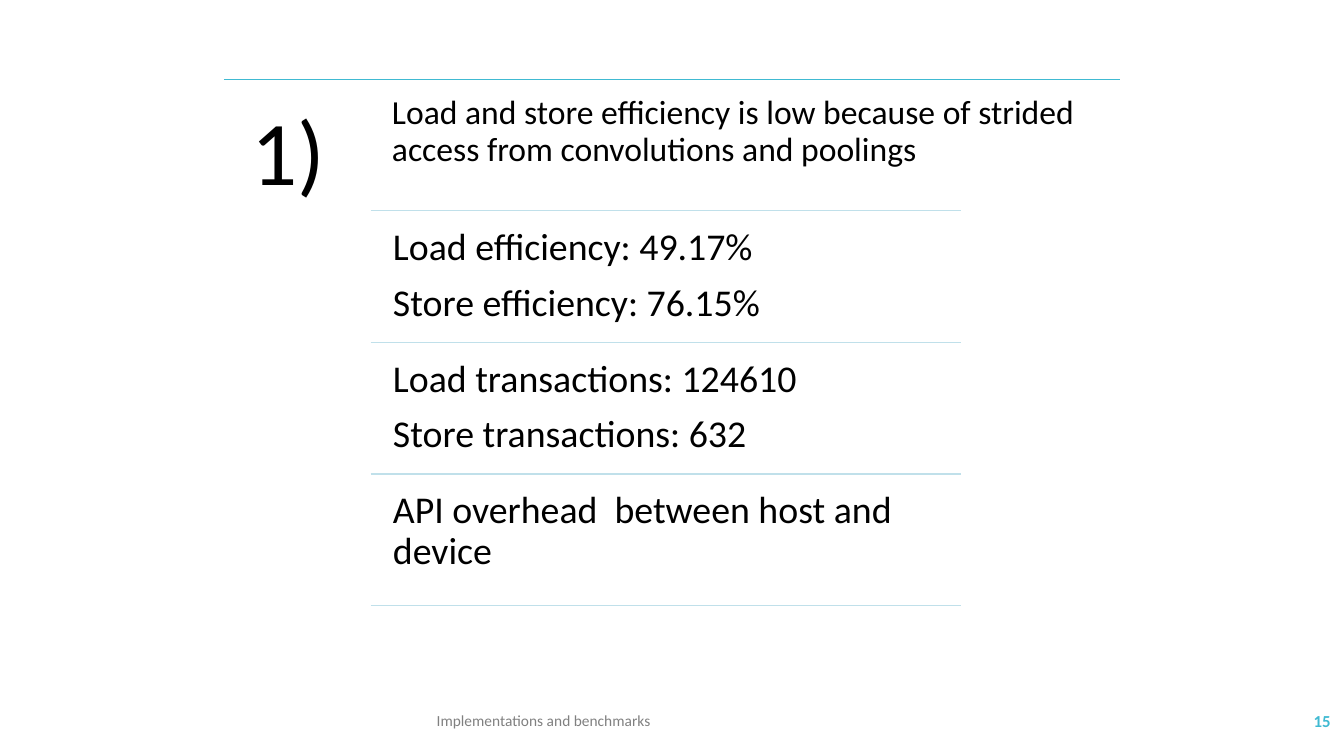
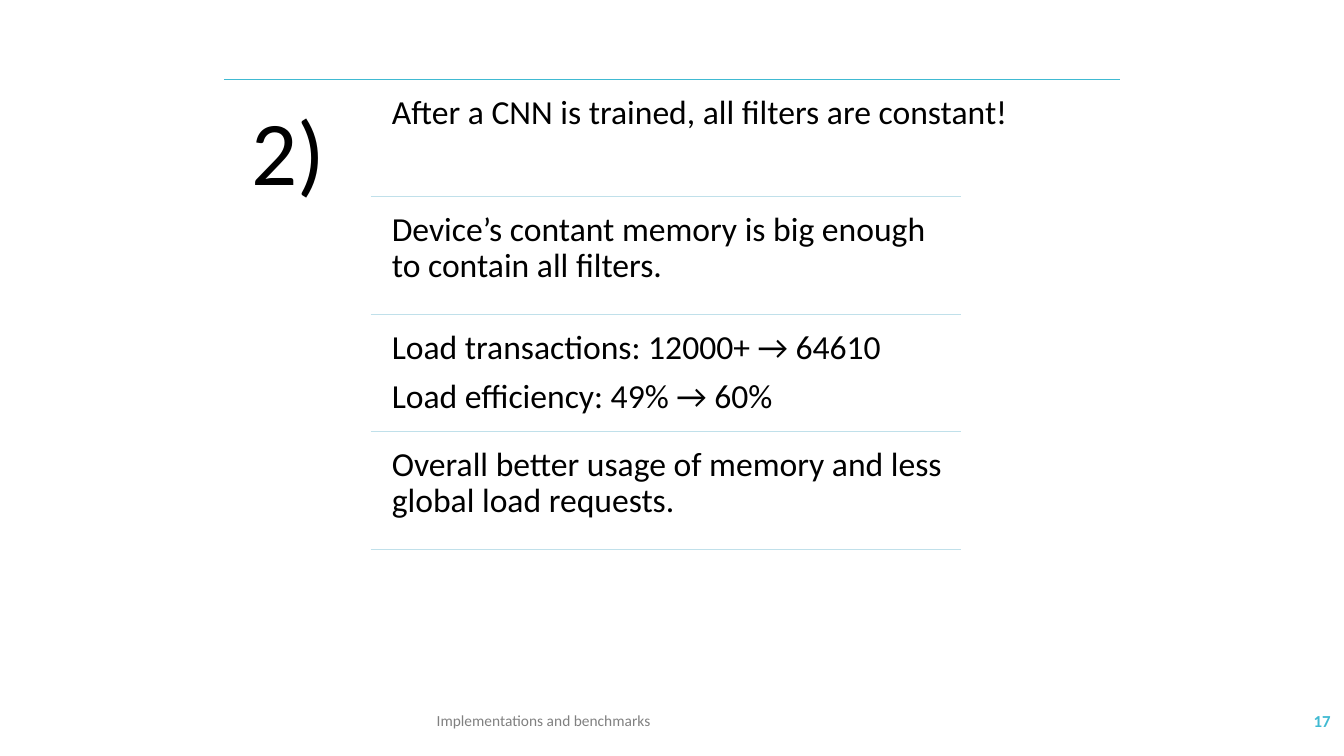
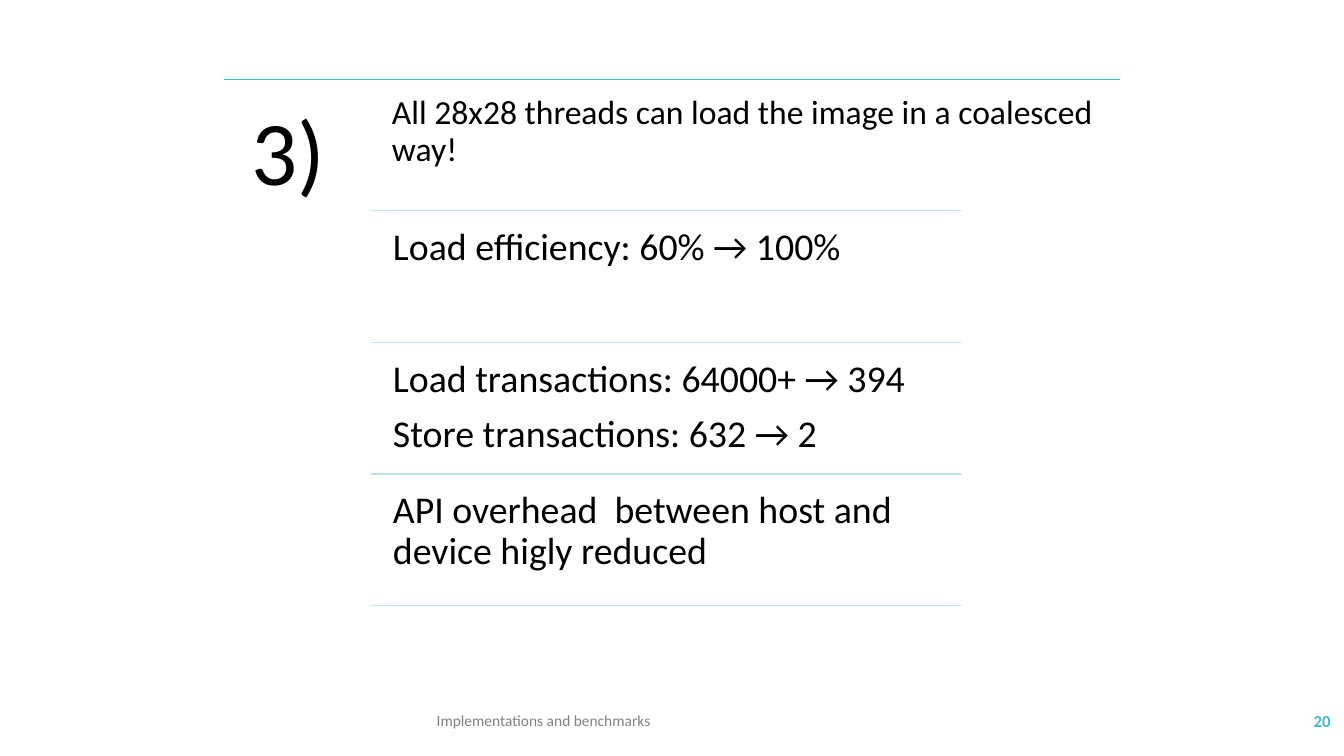
from lxml.etree import SubElement
from pptx import Presentation
from pptx.dml.color import RGBColor
from pptx.enum.shapes import MSO_CONNECTOR as Connector
from pptx.enum.text import MSO_ANCHOR as Anchor, MSO_AUTO_SIZE as AutoSize, PP_ALIGN as Align
from pptx.oxml.ns import qn
from pptx.util import Inches, Pt

BLACK = RGBColor(0x00, 0x00, 0x00)
GREY = RGBColor(0x80, 0x80, 0x80)
TEAL = RGBColor(0x40, 0xBA, 0xD2)
PALE_TEAL = RGBColor(0xC0, 0xE0, 0xEA)

FONT = "Calibri"
WIDTH, HEIGHT = Inches(13.33), Inches(7.5)
GRID = 12
LEFT, RULE_LEFT, TEXT_LEFT, RULE_RIGHT, RIGHT = 2, 3.31, 3.41, 8.58, 10
TOP = 1.26
BANDS = 4
GAP_SHARE = 1 / 21
FOOTER_TOP, FOOTER_HEIGHT = 11.12, 0.64
SECTION = "Implementations and benchmarks"


def across(columns):
    return round(WIDTH * columns / GRID)


def down(rows):
    return round(HEIGHT * rows / GRID)


class Deck:
    def __init__(self):
        self.presentation = Presentation()
        self.presentation.slide_width = WIDTH
        self.presentation.slide_height = HEIGHT
        self.slide = None

    def start_slide(self):
        title_only = self.presentation.slide_layouts[5]
        self.slide = self.presentation.slides.add_slide(title_only)

    def rule(self, left, right, row, color):
        line = self.slide.shapes.add_connector(
            Connector.STRAIGHT, across(left), down(row), across(right), down(row))
        line.line.color.rgb = color
        line.line.width = Pt(0.85)
        SubElement(line._element.spPr, qn("a:effectLst"))

    def set_text(self, shape, lines, size, color=BLACK, inset=None, bold=False,
                 align=Align.LEFT, anchor=Anchor.TOP):
        frame = shape.text_frame
        frame.text = "\n".join(lines)
        frame.word_wrap = True
        frame.auto_size = AutoSize.NONE
        frame.vertical_anchor = anchor
        if inset is not None:
            frame.margin_left = frame.margin_right = Inches(inset)
            frame.margin_top = frame.margin_bottom = Inches(inset)
        for paragraph in frame.paragraphs:
            paragraph.alignment = align
            paragraph.font.name = FONT
            paragraph.font.size = Pt(size)
            paragraph.font.bold = bold
            paragraph.font.color.rgb = color
            if inset is not None:
                paragraph.line_spacing = 0.9
                paragraph.space_after = Pt(size * 0.38)

    def text(self, left, top, width, height, lines, size, **style):
        box = self.slide.shapes.add_textbox(
            across(left), down(top), across(width), down(height))
        self.set_text(box, lines, size, **style)

    def headline(self, top, height, statement):
        title = self.slide.shapes.title
        title.left, title.top = across(TEXT_LEFT), down(top)
        title.width, title.height = across(RIGHT - TEXT_LEFT), down(height)
        self.set_text(title, [statement], 24, inset=0.1)

    def footer(self, number):
        self.text(3.81, FOOTER_TOP, 5.81, FOOTER_HEIGHT, [SECTION], 11,
                  color=GREY, anchor=Anchor.MIDDLE)
        self.text(10.47, FOOTER_TOP, 1.5, FOOTER_HEIGHT, [str(number)], 12,
                  color=TEAL, bold=True, align=Align.RIGHT, anchor=Anchor.MIDDLE)

    def finding(self, label, statement, details, number, size=27, inset=0.11, height=8.45):
        self.start_slide()
        pitch = height / (BANDS + GAP_SHARE)
        gap = pitch * GAP_SHARE
        self.rule(LEFT, RIGHT, TOP, TEAL)
        self.text(LEFT, TOP, RULE_LEFT - LEFT, height, [label], 65, inset=0.27)
        self.headline(TOP + gap, pitch - gap, statement)
        for band, lines in enumerate(details, start=1):
            row = TOP + band * pitch
            self.rule(RULE_LEFT, RULE_RIGHT, row, PALE_TEAL)
            self.text(TEXT_LEFT, row + gap, RULE_RIGHT - TEXT_LEFT, pitch - gap,
                      lines, size, inset=inset)
        self.rule(RULE_LEFT, RULE_RIGHT, TOP + BANDS * pitch, PALE_TEAL)
        self.footer(number)

    def save(self):
        self.presentation.save("out.pptx")


def main():
    deck = Deck()
    deck.finding(
        "1)",
        "Load and store efficiency is low because of strided access from convolutions and poolings",
        [["Load efficiency: 49.17%", "Store efficiency: 76.15%"],
         ["Load transactions: 124610", "Store transactions: 632"],
         ["API overhead  between host and device"]],
        15)
    deck.finding(
        "2)",
        "After a CNN is trained, all filters are constant!",
        [["Device’s contant memory is big enough to contain all filters."],
         ["Load transactions: 12000+ → 64610", "Load efficiency: 49% → 60%"],
         ["Overall better usage of memory and less global load requests."]],
        17, size=24, inset=0.1, height=7.55)
    deck.finding(
        "3)",
        "All 28x28 threads can load the image in a coalesced way!",
        [["Load efficiency: 60% → 100%"],
         ["Load transactions: 64000+ → 394", "Store transactions: 632 → 2"],
         ["API overhead  between host and device higly reduced"]],
        20)
    deck.save()


if __name__ == "__main__":
    main()
